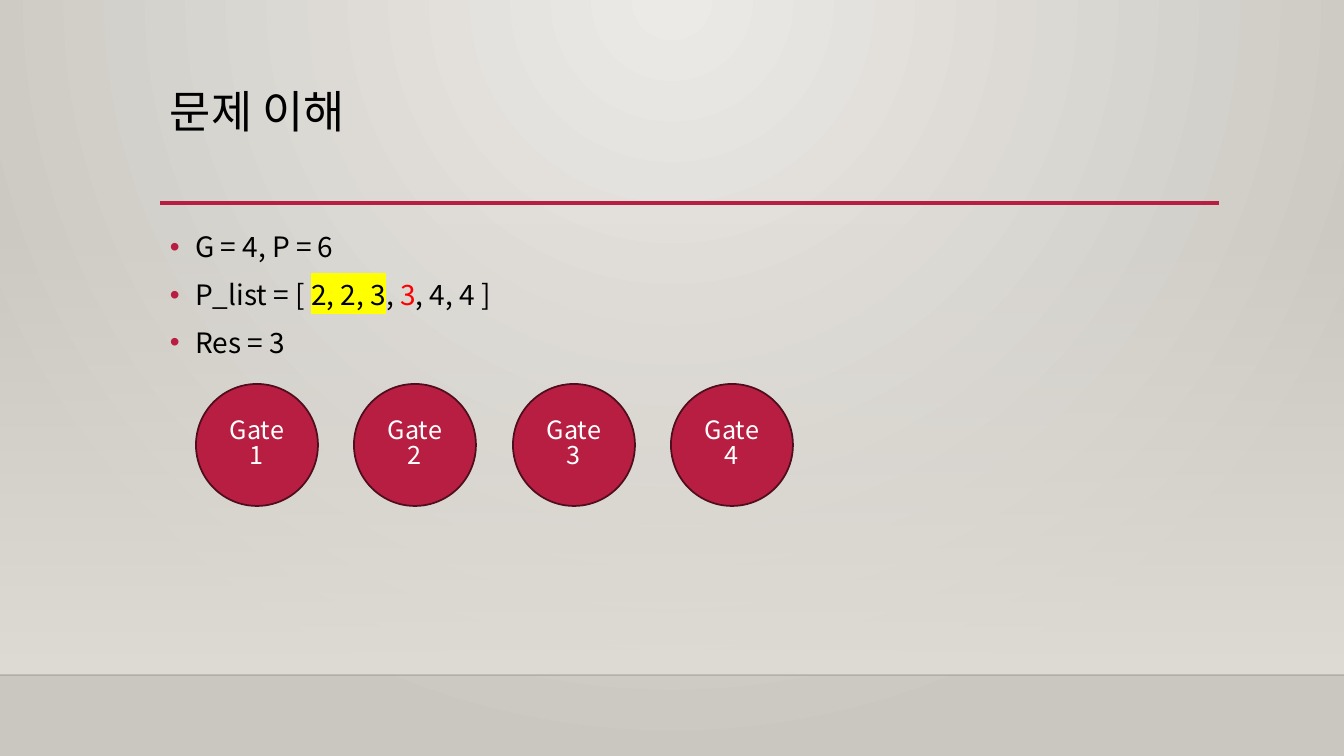
from lxml import etree
from pptx import Presentation
from pptx.dml.color import RGBColor
from pptx.enum.shapes import MSO_CONNECTOR, MSO_SHAPE
from pptx.enum.text import MSO_ANCHOR, PP_ALIGN
from pptx.oxml import parse_xml
from pptx.oxml.ns import nsdecls, qn
from pptx.util import Pt

LINE = MSO_CONNECTOR.STRAIGHT
RECT, OVAL = MSO_SHAPE.RECTANGLE, MSO_SHAPE.OVAL
TOP, MIDDLE = MSO_ANCHOR.TOP, MSO_ANCHOR.MIDDLE
LEFT, CENTER = PP_ALIGN.LEFT, PP_ALIGN.CENTER

PX = 914400 / 100.8
FONT = "Noto Sans CJK KR"
BLACK = RGBColor(0, 0, 0)
WHITE = RGBColor(255, 255, 255)
RED = RGBColor(255, 0, 0)
CRIMSON = RGBColor(0xB7, 0x1E, 0x42)
WINE = RGBColor(0x50, 0x0D, 0x1D)
PALE = RGBColor(0xEC, 0xEA, 0xE7)
STONE = RGBColor(0xCA, 0xC7, 0xC1)
SAND = RGBColor(0xDF, 0xDB, 0xD5)
EDGE = RGBColor(0, 0, 1)


def px(*nums):
    return [round(n * PX) for n in nums]


def add_run(para, text, size, color):
    run = para.add_run()
    run.text = text
    font = run.font
    font.size, font.name = Pt(size), FONT
    font.color.rgb = color
    props = run._r.get_or_add_rPr()
    etree.SubElement(props, qn("a:ea"), typeface=FONT)
    return props


prs = Presentation()
prs.slide_width, prs.slide_height = px(1344, 756)
slide = prs.slides.add_slide(prs.slide_layouts[6])
shapes = slide.shapes

# Background: a glow from the top centre
back = slide.background.fill
back.gradient()
for stop, color in zip(back.gradient_stops, (PALE, STONE)):
    stop.color.rgb = color
    stop.position = 0 if color == PALE else 1
lin = next(slide._element.iter(qn("a:lin")))
lin.getparent().replace(lin, parse_xml(
    f'<a:path {nsdecls("a")} path="circle">'
    '<a:fillToRect l="43000" t="0" r="43000" b="100000"/></a:path>'))

# Wall that fades in downwards
wall = shapes.add_shape(RECT, *px(0, 223, 1344, 452))
wall.shadow.inherit = False
wall.line.fill.background()
wall.fill.gradient()
wall.fill.gradient_angle = 270
for pos, stop in enumerate(wall.fill.gradient_stops):
    stop.color.rgb = SAND
    stop.position = pos
clear = next(wall._element.iter(qn("a:srgbClr")))
etree.SubElement(clear, qn("a:alpha"), val="0")

# Floor edge and title rule
for x1, x2, y, color, width, alpha in (
        (0, 1344, 675, EDGE, 1, 20), (160, 1219, 203, CRIMSON, 2.5, 100)):
    rule = shapes.add_connector(LINE, *px(x1, y, x2, y))
    rule.line.color.rgb = color
    rule.line.width = Pt(width)
    if alpha < 100:
        tint = next(rule._element.iter(qn("a:srgbClr")))
        etree.SubElement(tint, qn("a:alpha"), val=str(alpha * 1000))
    etree.SubElement(rule._element.spPr, qn("a:effectLst"))

# Title
title = shapes.add_textbox(*px(160, 89, 1058, 116)).text_frame
title.word_wrap = True
title.vertical_anchor = TOP
head = title.paragraphs[0]
head.alignment = LEFT
head.line_spacing = 0.8
add_run(head, "문제 이해", 32, BLACK)

# Bullets: runs of text, colour, highlight
ITEMS = (
    (("G = 4, P = 6", BLACK, None),),
    (("P_list = [ ", BLACK, None), ("2, 2, 3", BLACK, "FFFF00"),
     (", ", BLACK, None), ("3", RED, None), (", 4, 4 ]", BLACK, None)),
    (("Res = 3", BLACK, None),),
)
body = shapes.add_textbox(*px(160, 225, 1058, 380)).text_frame
body.word_wrap = True
for row, item in enumerate(ITEMS):
    para = body.add_paragraph() if row else body.paragraphs[0]
    para.line_spacing = 1.0
    para.space_before = Pt(10 if row else 0)
    props = para._p.get_or_add_pPr()
    props.set("marL", "228600")
    props.set("indent", "-228600")
    tint = etree.SubElement(props, qn("a:buClr"))
    etree.SubElement(tint, qn("a:srgbClr"), val=str(CRIMSON))
    etree.SubElement(props, qn("a:buFont"), typeface="Arial")
    etree.SubElement(props, qn("a:buChar"), char="•")
    for text, color, glow in item:
        look = add_run(para, text, 20, color)
        if glow:
            mark = parse_xml(f'<a:highlight {nsdecls("a")}>'
                             f'<a:srgbClr val="{glow}"/></a:highlight>')
            look.find(qn("a:solidFill")).addnext(mark)

# Gates
for num in range(4):
    gate = shapes.add_shape(OVAL, *px(196 + 158 * num + num // 2, 384, 122, 122))
    gate.shadow.inherit = False
    gate.fill.solid()
    gate.fill.fore_color.rgb = CRIMSON
    gate.line.color.rgb = WINE
    gate.line.width = Pt(1.25)
    frame = gate.text_frame
    frame.word_wrap = True
    frame.vertical_anchor = MIDDLE
    para = frame.paragraphs[0]
    para.alignment = CENTER
    para.line_spacing = 0.82
    add_run(para, "Gate", 18, WHITE)
    para.add_line_break()
    add_run(para, str(num + 1), 18, WHITE)

prs.save("out.pptx")
